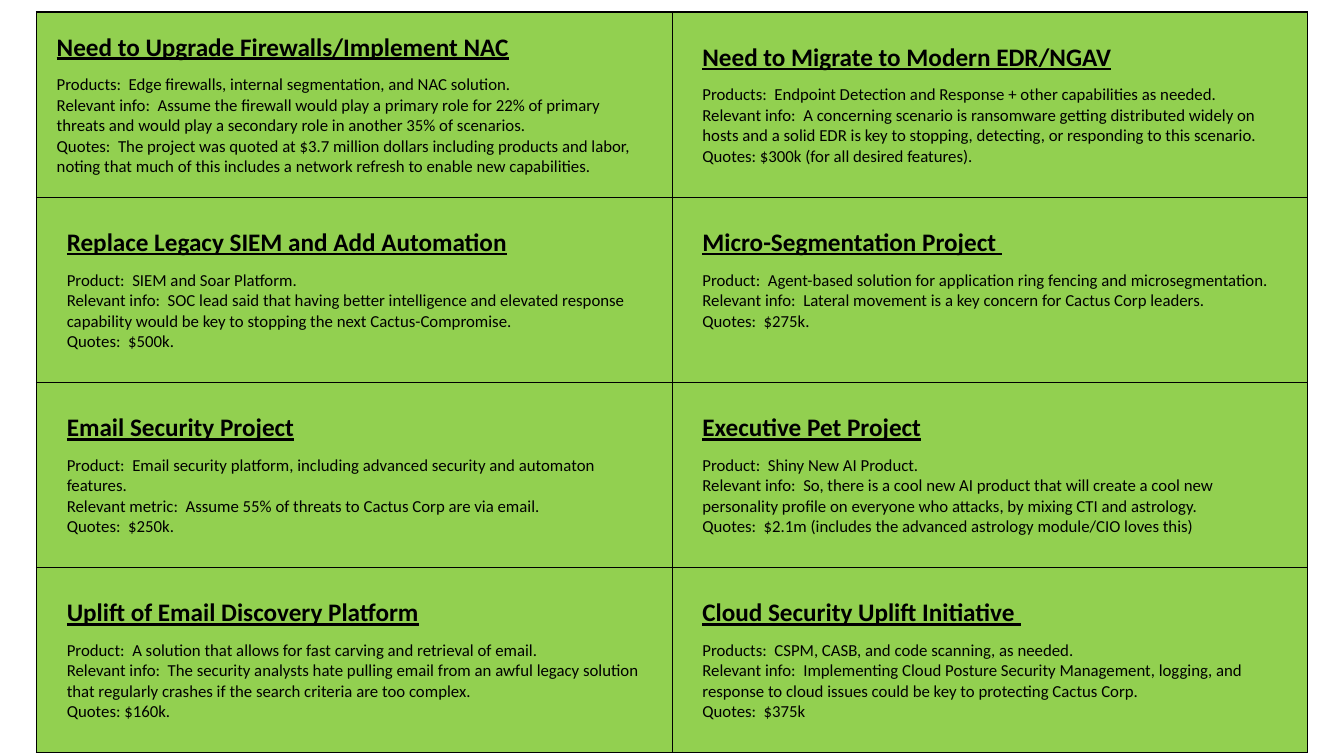
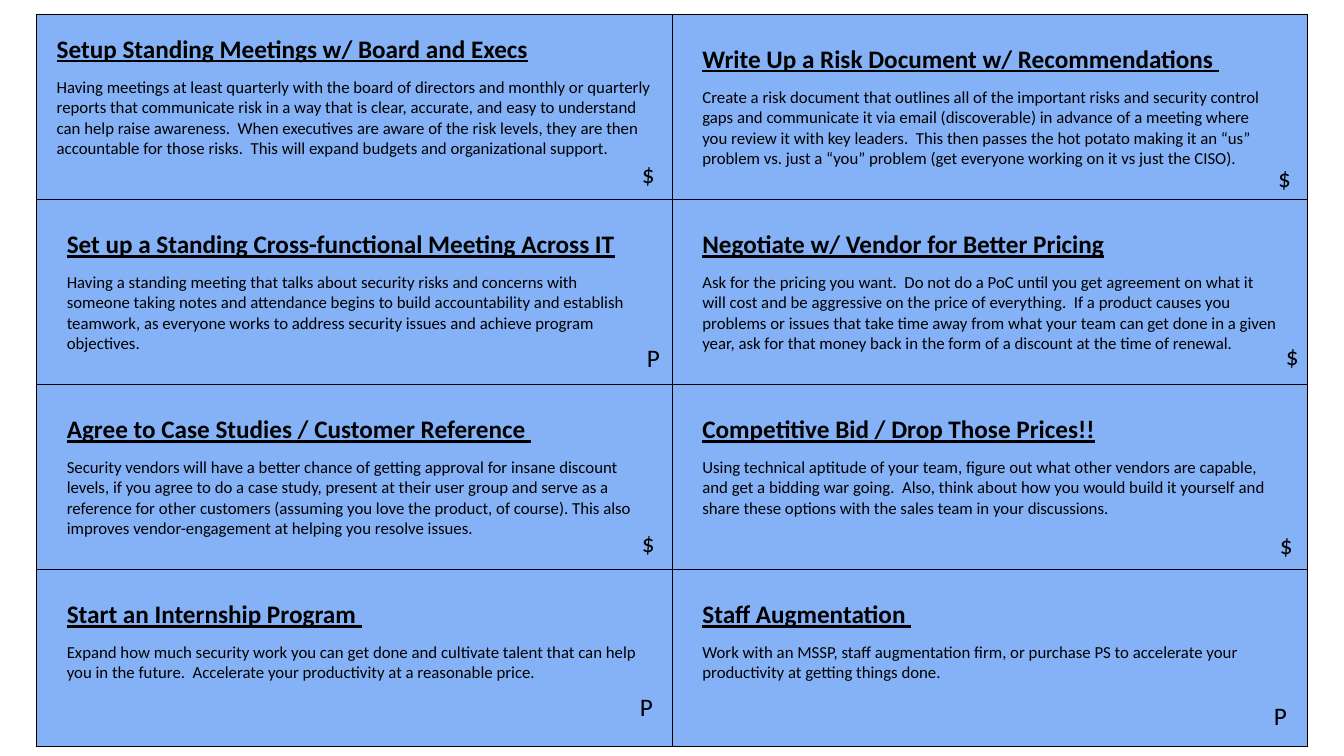
from lxml.etree import SubElement
from pptx import Presentation
from pptx.dml.color import RGBColor
from pptx.enum.text import MSO_ANCHOR, MSO_AUTO_SIZE
from pptx.oxml.ns import qn
from pptx.util import Pt

# Shared style
BLACK = RGBColor(0x00, 0x00, 0x00)
PROJECT_GREEN = RGBColor(0x92, 0xD0, 0x50)
TACTIC_BLUE = RGBColor(0x85, 0xB2, 0xF6)
FONT = "Calibri"
HEADING_SIZE, BODY_SIZE, MARK_SIZE = Pt(18), Pt(12), Pt(18)
HEADING_GAP = Pt(8.5)

# Card grid
BLANK_LAYOUT = 6
COLUMNS = 2
GRID_LEFT = Pt(26.1)
CARD_WIDTH, CARD_HEIGHT = Pt(454), Pt(126.5)
FIRST_CARD_MARGIN, CARD_MARGIN = Pt(14.4), Pt(21.6)
BORDER_WIDTH = Pt(1)
MARK_BOX = Pt(28.8)

# Cards, row by row: heading, then body paragraphs
PROJECTS = [
    ("Need to Upgrade Firewalls/Implement NAC",
     "Products:  Edge firewalls, internal segmentation, and NAC solution.",
     "Relevant info:  Assume the firewall would play a primary role for 22% of primary "
     "threats and would play a secondary role in another 35% of scenarios.",
     "Quotes:  The project was quoted at $3.7 million dollars including products and labor, "
     "noting that much of this includes a network refresh to enable new capabilities."),
    ("Need to Migrate to Modern EDR/NGAV",
     "Products:  Endpoint Detection and Response + other capabilities as needed.",
     "Relevant info:  A concerning scenario is ransomware getting distributed widely on "
     "hosts and a solid EDR is key to stopping, detecting, or responding to this scenario.",
     "Quotes: $300k (for all desired features)."),
    ("Replace Legacy SIEM and Add Automation",
     "Product:  SIEM and Soar Platform.",
     "Relevant info:  SOC lead said that having better intelligence and elevated response "
     "capability would be key to stopping the next Cactus-Compromise.",
     "Quotes:  $500k."),
    ("Micro-Segmentation Project ",
     "Product:  Agent-based solution for application ring fencing and microsegmentation.",
     "Relevant info:  Lateral movement is a key concern for Cactus Corp leaders.",
     "Quotes:  $275k."),
    ("Email Security Project",
     "Product:  Email security platform, including advanced security and automaton features.",
     "Relevant metric:  Assume 55% of threats to Cactus Corp are via email.",
     "Quotes:  $250k."),
    ("Executive Pet Project",
     "Product:  Shiny New AI Product.",
     "Relevant info:  So, there is a cool new AI product that will create a cool new "
     "personality profile on everyone who attacks, by mixing CTI and astrology.",
     "Quotes:  $2.1m (includes the advanced astrology module/CIO loves this)"),
    ("Uplift of Email Discovery Platform",
     "Product:  A solution that allows for fast carving and retrieval of email.",
     "Relevant info:  The security analysts hate pulling email from an awful legacy solution "
     "that regularly crashes if the search criteria are too complex.",
     "Quotes: $160k."),
    ("Cloud Security Uplift Initiative ",
     "Products:  CSPM, CASB, and code scanning, as needed.",
     "Relevant info:  Implementing Cloud Posture Security Management, logging, and "
     "response to cloud issues could be key to protecting Cactus Corp.",
     "Quotes:  $375k"),
]

TACTICS = [
    ("Setup Standing Meetings w/ Board and Execs",
     "Having meetings at least quarterly with the board of directors and monthly or quarterly "
     "reports that communicate risk in a way that is clear, accurate, and easy to understand "
     "can help raise awareness.  When executives are aware of the risk levels, they are then "
     "accountable for those risks.  This will expand budgets and organizational support."),
    ("Write Up a Risk Document w/ Recommendations ",
     "Create a risk document that outlines all of the important risks and security control "
     "gaps and communicate it via email (discoverable) in advance of a meeting where "
     "you review it with key leaders.  This then passes the hot potato making it an “us” "
     "problem vs. just a “you” problem (get everyone working on it vs just the CISO)."),
    ("Set up a Standing Cross-functional Meeting Across IT",
     "Having a standing meeting that talks about security risks and concerns with "
     "someone taking notes and attendance begins to build accountability and establish "
     "teamwork, as everyone works to address security issues and achieve program objectives."),
    ("Negotiate w/ Vendor for Better Pricing",
     "Ask for the pricing you want.  Do not do a PoC until you get agreement on what it "
     "will cost and be aggressive on the price of everything.  If a product causes you "
     "problems or issues that take time away from what your team can get done in a given "
     "year, ask for that money back in the form of a discount at the time of renewal."),
    ("Agree to Case Studies / Customer Reference ",
     "Security vendors will have a better chance of getting approval for insane discount "
     "levels, if you agree to do a case study, present at their user group and serve as a "
     "reference for other customers (assuming you love the product, of course). This also "
     "improves vendor-engagement at helping you resolve issues."),
    ("Competitive Bid / Drop Those Prices!!",
     "Using technical aptitude of your team, figure out what other vendors are capable, "
     "and get a bidding war going.  Also, think about how you would build it yourself and "
     "share these options with the sales team in your discussions."),
    ("Start an Internship Program ",
     "Expand how much security work you can get done and cultivate talent that can help "
     "you in the future.  Accelerate your productivity at a reasonable price."),
    ("Staff Augmentation ",
     "Work with an MSSP, staff augmentation firm, or purchase PS to accelerate your "
     "productivity at getting things done."),
]

# Benefit of each tactic: mark, left, top
BENEFIT_MARKS = [
    ("$", 451.5, 109.5), ("$", 905.8, 112.3),
    ("P", 455, 241.2), ("$", 911.5, 239.8),
    ("$", 451.5, 373), ("$", 907.2, 374.4),
    ("P", 450, 490.3), ("P", 902.9, 496.8),
]


def add_run(paragraph, text, size, heading=False):
    run = paragraph.add_run()
    run.text = text
    font = run.font
    font.name, font.size = FONT, size
    font.bold = font.underline = heading
    font.color.rgb = BLACK


def add_borders(cell):
    properties = cell._tc.get_or_add_tcPr()
    for side in ("lnL", "lnR", "lnT", "lnB"):
        line = SubElement(properties, qn(f"a:{side}"), w=str(BORDER_WIDTH))
        line_fill = SubElement(line, qn("a:solidFill"))
        SubElement(line_fill, qn("a:srgbClr"), val=str(BLACK))


def fill_card(cell, content, color, margin):
    add_borders(cell)
    cell.fill.solid()
    cell.fill.fore_color.rgb = color
    cell.vertical_anchor = MSO_ANCHOR.TOP
    cell.margin_left = cell.margin_right = margin
    cell.margin_top = cell.margin_bottom = margin
    heading, *body = content
    frame = cell.text_frame
    frame.paragraphs[0].space_after = HEADING_GAP
    add_run(frame.paragraphs[0], heading, HEADING_SIZE, heading=True)
    for text in body:
        add_run(frame.add_paragraph(), text, BODY_SIZE)


def add_card_grid(slide, cards, color, top):
    row_count = len(cards) // COLUMNS
    grid = slide.shapes.add_table(
        row_count, COLUMNS, GRID_LEFT, top,
        CARD_WIDTH * COLUMNS, CARD_HEIGHT * row_count).table
    grid.first_row = grid.horz_banding = False
    for column in grid.columns:
        column.width = CARD_WIDTH
    for row in grid.rows:
        row.height = CARD_HEIGHT
    for index, content in enumerate(cards):
        margin = CARD_MARGIN if index else FIRST_CARD_MARGIN
        fill_card(grid.cell(*divmod(index, COLUMNS)), content, color, margin)


def add_benefit_mark(slide, mark, left, top):
    frame = slide.shapes.add_textbox(Pt(left), Pt(top), MARK_BOX, MARK_BOX).text_frame
    frame.word_wrap = True
    frame.auto_size = MSO_AUTO_SIZE.SHAPE_TO_FIT_TEXT
    add_run(frame.paragraphs[0], mark, MARK_SIZE)


def main():
    deck = Presentation()
    deck.slide_width, deck.slide_height = Pt(960), Pt(540)
    blank = deck.slide_layouts[BLANK_LAYOUT]

    # Projects to fund
    add_card_grid(deck.slides.add_slide(blank), PROJECTS, PROJECT_GREEN, Pt(8.5))

    # Tactics and what they gain
    tactics = deck.slides.add_slide(blank)
    add_card_grid(tactics, TACTICS, TACTIC_BLUE, Pt(10.2))
    for mark, left, top in BENEFIT_MARKS:
        add_benefit_mark(tactics, mark, left, top)

    deck.save("out.pptx")


if __name__ == "__main__":
    main()
